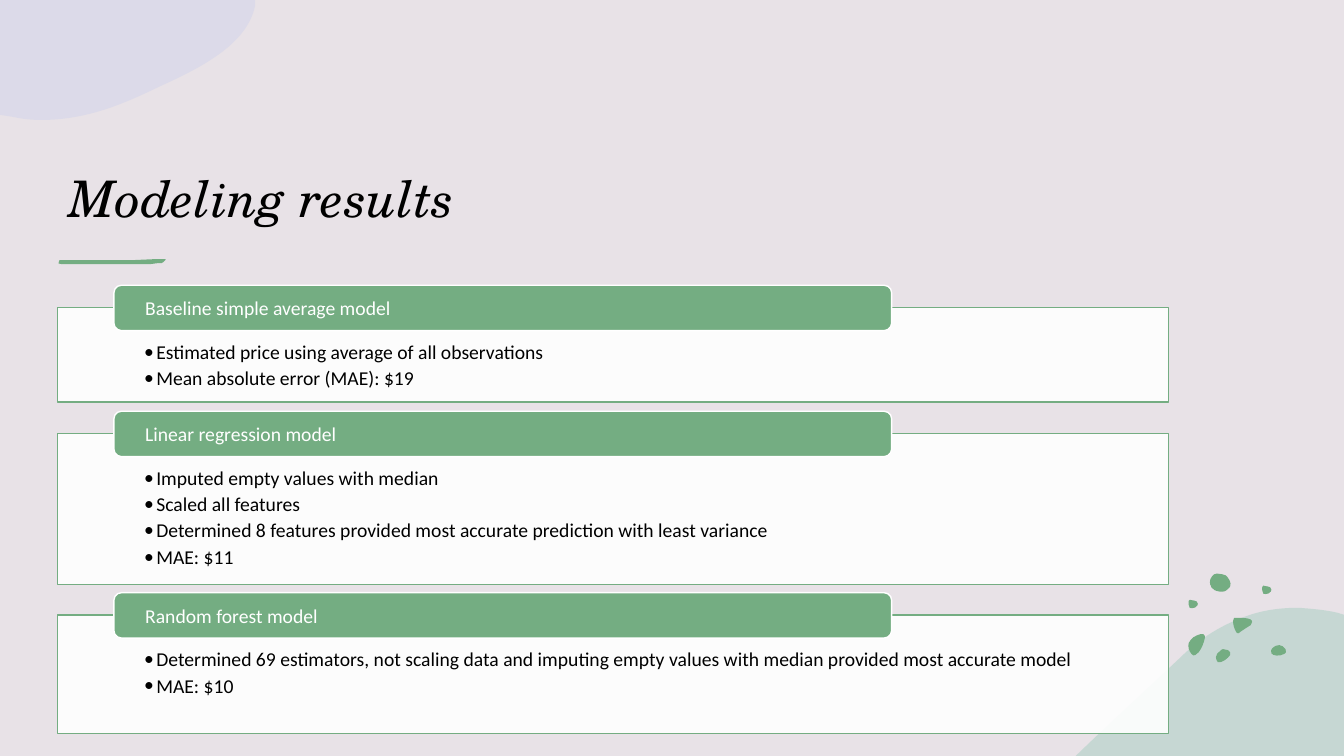
from lxml import etree
from pptx import Presentation
from pptx.dml.color import RGBColor
from pptx.enum.shapes import MSO_SHAPE as SHAPE
from pptx.enum.text import MSO_ANCHOR as ANCHOR
from pptx.oxml.ns import qn
from pptx.util import Inches, Pt

BACKGROUND = RGBColor(0xE8, 0xE2, 0xE7)
GREEN = RGBColor(0x74, 0xAD, 0x82)
MINT = RGBColor(0xA5, 0xCE, 0xC0)
LILAC = RGBColor(0xD2, 0xD4, 0xEB)
WHITE = RGBColor(0xFF, 0xFF, 0xFF)
BLACK = RGBColor(0, 0, 0)

HILL = [(221, 0), (234, 1, 247, 2, 260, 5), (266, 7), (266, 147), (0, 147), (1, 146),
        (35, 113, 70, 81, 102, 51), (124, 29, 147, 16, 170, 8), (187, 2, 204, 0, 221, 0)]
CLOUD = [(0, 0), (253, 0), (253, 6), (245, 44, 200, 67, 158, 86),
         (123, 103, 86, 119, 41, 119), (31, 119, 22, 118, 13, 116), (0, 114)]
STROKE = [(1, 1), (17, 1), (30, 1), (53, 1), (75, 1), (97, 0), (106, 0), (106, 1),
          (103, 2, 105, 5, 99, 4), (91, 5), (60, 5), (32, 5), (3, 5), (-1, 5, 0, 2, 1, 1)]
FLECK = [(0, 0), (1, 0), (1, 1)]
PEBBLES = [
    [(35, 75), (37, 75, 38, 75, 40, 76), (42, 77, 43, 79, 42, 81), (40, 84, 34, 89, 30, 88),
     (29, 87, 28, 85, 28, 83), (28, 81, 30, 78, 32, 77), (33, 76, 34, 75, 35, 75)],
    [(13, 60), (15, 60, 17, 60, 17, 62), (17, 63, 17, 63, 17, 64), (16, 69, 14, 74, 11, 78),
     (9, 80, 6, 83, 4, 80), (1, 77, 0, 72, 1, 69), (2, 66, 4, 65, 6, 63),
     (7, 63, 10, 60, 13, 60)],
    [(91, 71), (93, 71, 96, 73, 97, 75), (98, 77, 98, 79, 95, 80), (92, 82, 84, 82, 83, 79),
     (82, 77, 83, 75, 84, 74), (86, 72, 88, 71, 91, 71)],
    [(23, 12), (22, 12, 21, 6, 24, 3), (26, 1, 26, 0, 29, 0), (32, 0, 36, 1, 38, 2),
     (40, 4, 44, 9, 42, 13), (39, 16, 38, 18, 34, 18), (31, 18, 26, 17, 25, 15),
     (23, 14, 23, 13, 23, 12)],
    [(50, 44), (56, 44, 67, 44, 63, 50), (63, 51, 62, 52, 61, 52), (58, 54, 55, 56, 52, 58),
     (51, 59, 50, 60, 49, 59), (49, 59, 48, 58, 48, 58), (46, 54, 45, 51, 45, 47),
     (45, 46, 45, 45, 46, 44), (47, 44, 49, 44, 50, 44)],
]
CRUMB = [(1, 5), (1, 5, 0, 1, 2, 0), (4, 0, 5, 0, 7, 1), (8, 1, 10, 2, 10, 4),
         (10, 5, 9, 7, 8, 7), (8, 7, 8, 8, 6, 8), (5, 8, 3, 9, 2, 8), (1, 6, 1, 6, 1, 5)]
MODELS = [
    (3.05, 0.94, "Baseline simple average model",
     ["Estimated price using average of all observations", "Mean absolute error (MAE): $19"]),
    (4.3, 1.5, "Linear regression model",
     ["Imputed empty values with median", "Scaled all features",
      "Determined 8 features provided most accurate prediction with least variance",
      "MAE: $11"]),
    (6.1, 1.18, "Random forest model",
     ["Determined 69 estimators, not scaling data and imputing empty values with median "
      "provided most accurate model", "MAE: $10"]),
]


def set_fill(sp, color, opacity=100):
    """Give a shape a solid fill of the given opacity in percent, and no shadow."""
    sp.shadow.inherit = False
    sp.fill.solid()
    sp.fill.fore_color.rgb = color
    if opacity < 100:
        srgb = sp.fill._xPr.find(".//" + qn("a:srgbClr"))
        etree.SubElement(srgb, qn("a:alpha"), val=str(opacity * 1000))


def add_blob(slide, x, y, outline, color, opacity=100):
    """Draw a closed outline of lines and cubic curves, in hundredths of an inch from x, y."""
    ends = [seg[-2:] for seg in outline]
    left, top = (min(end[k] for end in ends) for k in (0, 1))
    builder = slide.shapes.build_freeform(*ends[0], scale=Inches(0.01))
    builder.add_line_segments(ends[1:], close=True)
    sp = builder.convert_to_shape(Inches(x), Inches(y))
    track = sp._element.find(".//" + qn("a:path"))
    for node, seg in zip(list(track), outline):
        node.tag = qn("a:cubicBezTo") if len(seg) == 6 else node.tag
        for pt in list(node):
            node.remove(pt)
        for px, py in zip(seg[::2], seg[1::2]):
            etree.SubElement(node, qn("a:pt"), x=str(px - left), y=str(py - top))
    set_fill(sp, color, opacity)
    sp.line.fill.background()


def add_pebbles(slide, x, y):
    """Scatter the green pebbles from the corner x, y."""
    for outline in PEBBLES:
        add_blob(slide, x, y, outline, GREEN)
    for dx, dy in ((0.73, 0.12), (0, 0.26)):
        add_blob(slide, x + dx, y + dy, CRUMB, GREEN)


def add_underline(slide, x, y):
    """Draw the brush stroke below the title with the flecks at its ends."""
    for dx, dy in ((0, 0.04), (0.02, 0.04), (1.05, 0)):
        add_blob(slide, x + dx, y + dy, FLECK, GREEN)
    add_blob(slide, x, y, STROKE, GREEN)


def add_text(slide, x, y, w, h, lines, anchor, insets, font, size, color, italic=False):
    """Write lines into a text box and return its paragraphs."""
    tf = slide.shapes.add_textbox(Inches(x), Inches(y), Inches(w), Inches(h)).text_frame
    tf.word_wrap, tf.vertical_anchor = True, anchor
    side, tf.margin_top, tf.margin_bottom = (Inches(v) for v in insets)
    tf.margin_left = tf.margin_right = side
    tf.text = "\n".join(lines)
    for p in tf.paragraphs:
        for r in p.runs:
            r.font.name, r.font.size, r.font.italic = font, Pt(size), italic
            r.font.color.rgb = color
    return tf.paragraphs


def add_panel(slide, kind, x, y, w, h, fill, line, opacity=100):
    """Draw a filled shape with a thin outline."""
    sp = slide.shapes.add_shape(kind, Inches(x), Inches(y), Inches(w), Inches(h))
    set_fill(sp, fill, opacity)
    sp.line.color.rgb, sp.line.width = line, Pt(1)


def add_model(slide, x, y, w, h, name, findings):
    """Place one model: a white panel of findings under a green name tab."""
    add_panel(slide, SHAPE.RECTANGLE, x, y, w, h, WHITE, GREEN, opacity=90)
    bullets = add_text(slide, x, y, w, h, findings, ANCHOR.TOP, (0.86, 0.32, 0.11),
                       "Calibri", 14, BLACK)
    for p in bullets:
        p.level, p.space_after = 1, Pt(2)
        pPr = p._p.get_or_add_pPr()
        pPr.set("marL", str(Inches(0.12)))
        pPr.set("indent", str(-Inches(0.12)))
        etree.SubElement(pPr, qn("a:buFont"), typeface="Calibri")
        etree.SubElement(pPr, qn("a:buChar"), char="•")
    tab_x, tab_y, tab_w, tab_h = x + 0.56, y - 0.22, w * 0.7, 0.45
    add_panel(slide, SHAPE.ROUNDED_RECTANGLE, tab_x, tab_y, tab_w, tab_h, GREEN, WHITE)
    add_text(slide, tab_x + 0.02, tab_y + 0.02, tab_w - 0.04, tab_h - 0.04, [name],
             ANCHOR.MIDDLE, (0.29, 0, 0), "Calibri", 14, WHITE)


def main():
    """Build the modeling results slide."""
    prs = Presentation()
    prs.slide_width, prs.slide_height = Inches(13.33), Inches(7.5)
    slide = prs.slides.add_slide(prs.slide_layouts[6])
    slide.background.fill.solid()
    slide.background.fill.fore_color.rgb = BACKGROUND
    add_blob(slide, 10.67, 6.03, HILL, MINT, 50)
    add_pebbles(slide, 11.78, 5.69)
    add_blob(slide, 0, 0, CLOUD, LILAC, 50)
    add_underline(slide, 0.58, 2.57)
    add_text(slide, 0.58, 0.86, 11.02, 1.45, ["Modeling results"], ANCHOR.BOTTOM,
             (0.1, 0.05, 0.05), "TeX Gyre Schola", 36, BLACK, italic=True)
    for y, h, name, findings in MODELS:
        add_model(slide, 0.57, y, 11.02, h, name, findings)
    prs.save("out.pptx")


if __name__ == "__main__":
    main()
